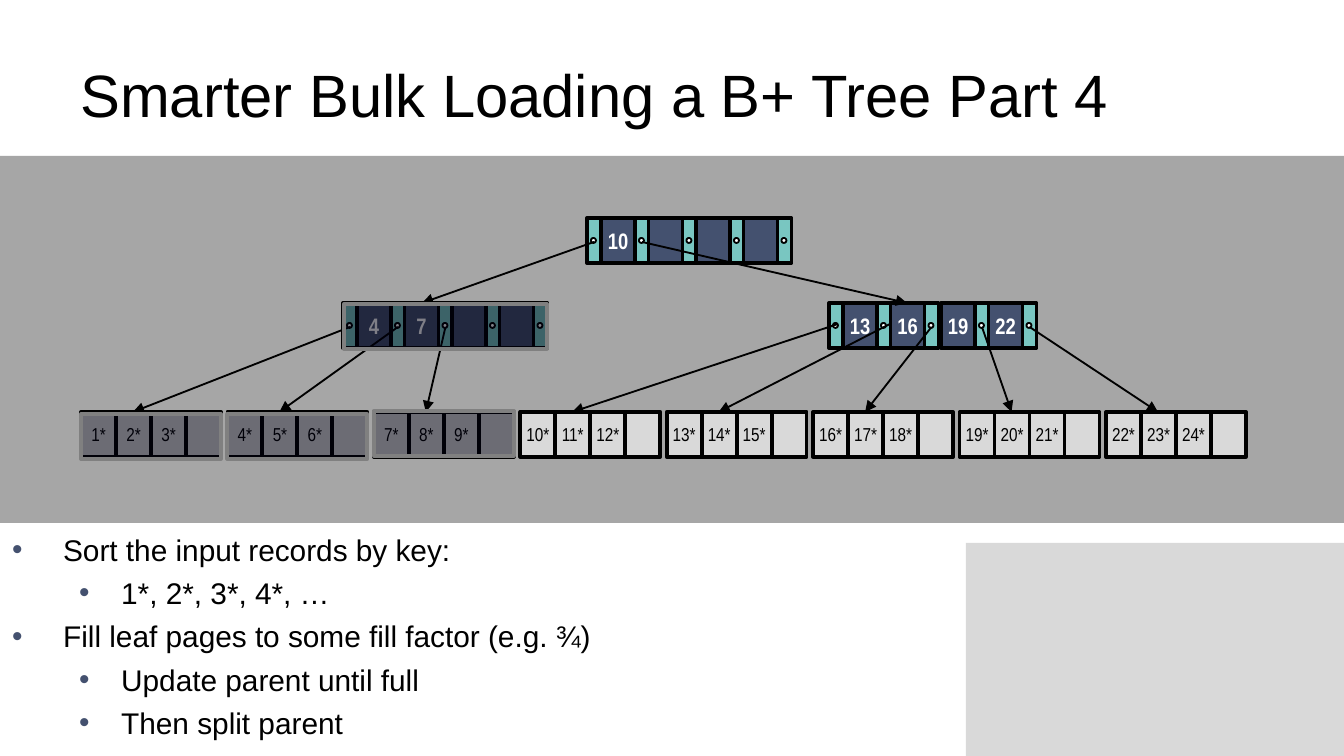
from dataclasses import dataclass

from lxml import etree
from pptx import Presentation
from pptx.dml.color import RGBColor
from pptx.enum.shapes import MSO_CONNECTOR, MSO_SHAPE
from pptx.enum.text import MSO_ANCHOR, MSO_AUTO_SIZE, PP_ALIGN
from pptx.oxml.ns import qn
from pptx.util import Pt

RECT, OVAL = MSO_SHAPE.RECTANGLE, MSO_SHAPE.OVAL
STRAIGHT = MSO_CONNECTOR.STRAIGHT
MIDDLE, BOTTOM = MSO_ANCHOR.MIDDLE, MSO_ANCHOR.BOTTOM
LEFT, CENTER = PP_ALIGN.LEFT, PP_ALIGN.CENTER
NO_FIT = MSO_AUTO_SIZE.NONE


@dataclass(frozen=True)
class Theme:
    font: str = "Arial"
    narrow: str = "Arial Narrow"
    ink: str = "000000"
    white: str = "FFFFFF"
    band: str = "A6A6A6"
    pale: str = "D9D9D9"
    key: str = "44516F"
    pointer: str = "79C6C1"
    shade: str = "010111"
    shade_line: str = "808080"
    title_size: int = 32
    body_size: int = 16
    key_size: int = 12
    record_size: int = 10
    thick: int = 2
    thin: int = 1


THEME = Theme()

# Content
TITLE = "Smarter Bulk Loading a B+ Tree Part 4"
BULLETS = [
    (0, "Sort the input records by key:"),
    (1, "1*, 2*, 3*, 4*, …"),
    (0, "Fill leaf pages to some fill factor (e.g. ¾)"),
    (1, "Update parent until full"),
    (1, "Then split parent"),
]
ROOT_KEYS = ["10", "", "", ""]
LEFT_KEYS = ["4", "7", "", ""]
RIGHT_KEYS = ["13", "16"]
RIGHT_MORE_KEYS = ["19", "22"]
LEAVES = [
    ["1*", "2*", "3*", ""],
    ["4*", "5*", "6*", ""],
    ["7*", "8*", "9*", ""],
    ["10*", "11*", "12*", ""],
    ["13*", "14*", "15*", ""],
    ["16*", "17*", "18*", ""],
    ["19*", "20*", "21*", ""],
    ["22*", "23*", "24*", ""],
]

# Geometry in px
PX = 914400 / 134.4
SLIDE = (1344, 756)
ROOT_Y, INNER_Y, LEAF_Y = 218, 303, 412
ROOT_X, LEFT_X, RIGHT_X, RIGHT_MORE_X = 587, 343, 829, 941
NODE_H, KEY_W, POINTER_W, DOT = 45, 34, 14, 5
KEY_PITCH = 190 / 4
CELL_W = 35
LEAF_XS = [81 + i * 1025 / 7 for i in range(len(LEAVES))]
LEAF_TARGET = 52
INNER_TARGETS = [422, 907]
START_NUDGES = {3: (2, -3), 4: (6, -3)}
INDENTS = [(51, -51), (109, -42)]
# Left, top and width of the shades over finished nodes
SHADES = [(x, LEAF_Y + dy, 4 * CELL_W) for x, dy in zip(LEAF_XS, (2, 2, -1))]
SHADES.append((LEFT_X + 1, INNER_Y + 1, 203))


def emu(*lengths):
    return [round(length * PX) for length in lengths]


def rgb(color):
    return RGBColor.from_string(color)


def add_span(para, text, size, color, font, bold=False):
    span = para.add_run()
    span.text = text
    span.font.name, span.font.size, span.font.bold = font, Pt(size), bold
    span.font.color.rgb = rgb(color)


def add_shape(page, kind, at, fill, line=None, weight=THEME.thick):
    shape = page.shapes.add_shape(kind, *emu(*at))
    shape.shadow.inherit = False
    shape.fill.solid()
    shape.fill.fore_color.rgb = rgb(fill)
    if line:
        shape.line.color.rgb = rgb(line)
        shape.line.width = Pt(weight)
    else:
        shape.line.fill.background()
    return shape


def add_cell(page, at, fill, text, size, color, bold=False):
    frame = add_shape(page, RECT, at, fill, THEME.ink).text_frame
    if text:
        frame.margin_left = frame.margin_right = 0
        frame.vertical_anchor, frame.word_wrap = MIDDLE, False
        para = frame.paragraphs[0]
        para.alignment = CENTER
        add_span(para, text, size, color, THEME.narrow, bold)


def add_pointer(page, x, y):
    add_shape(page, RECT, (x, y, POINTER_W, NODE_H), THEME.pointer, THEME.ink)
    add_shape(page, OVAL, (x + 4, y + 20, DOT, DOT), THEME.white, THEME.ink, THEME.thin)
    return x + POINTER_W / 2, y + 24


def add_keys(page, x, y, keys):
    """Draw each key with the pointer on its right; return the arrow starts."""
    starts = []
    for i, key in enumerate(keys):
        left = x + i * KEY_PITCH
        add_cell(page, (left, y, KEY_W, NODE_H), THEME.key, key,
                 THEME.key_size, THEME.white, True)
        starts.append(add_pointer(page, left + KEY_W, y))
    return starts


def add_node(page, x, y, keys):
    return [add_pointer(page, x, y)] + add_keys(page, x + POINTER_W, y, keys)


def add_arrow(page, start, end):
    arrow = page.shapes.add_connector(STRAIGHT, *emu(*start, *end))
    arrow.line.color.rgb = rgb(THEME.ink)
    arrow.line.width = Pt(THEME.thin)
    etree.SubElement(arrow.line._get_or_add_ln(), qn("a:tailEnd"), type="triangle")
    etree.SubElement(arrow._element.spPr, qn("a:effectLst"))


def add_bullet(para, level):
    para.level = level
    para.space_before = Pt(4)
    properties = para._p.get_or_add_pPr()
    margin, indent = emu(*INDENTS[level])
    properties.set("marL", str(margin))
    properties.set("indent", str(indent))
    color = etree.SubElement(properties, qn("a:buClr"))
    etree.SubElement(color, qn("a:srgbClr"), val=THEME.key)
    etree.SubElement(properties, qn("a:buFont"), typeface=THEME.font)
    etree.SubElement(properties, qn("a:buChar"), char="•")


def main():
    deck = Presentation()
    deck.slide_width, deck.slide_height = emu(*SLIDE)
    page = deck.slides.add_slide(deck.slide_layouts[5])

    # Title
    title = page.shapes.title
    title.left, title.top, title.width, title.height = emu(67, 31, 1210, 126)
    frame = title.text_frame
    frame.auto_size, frame.vertical_anchor = NO_FIT, MIDDLE
    frame.paragraphs[0].alignment = LEFT
    add_span(frame.paragraphs[0], TITLE, THEME.title_size, THEME.ink, THEME.font)

    # Backgrounds
    add_shape(page, RECT, (966, 543, 378, 213), THEME.pale)
    add_shape(page, RECT, (0, 156, 1344, 367), THEME.band)

    # Tree nodes
    root = add_node(page, ROOT_X, ROOT_Y, ROOT_KEYS)
    left = add_node(page, LEFT_X, INNER_Y, LEFT_KEYS)
    right = add_node(page, RIGHT_X, INNER_Y, RIGHT_KEYS)
    right += add_keys(page, RIGHT_MORE_X, INNER_Y, RIGHT_MORE_KEYS)
    for x, records in zip(LEAF_XS, LEAVES):
        for i, record in enumerate(records):
            add_cell(page, (x + i * CELL_W, LEAF_Y, CELL_W, NODE_H), THEME.pale,
                     record, THEME.record_size, THEME.ink)

    # Arrows from pointers to children
    for start, x in zip(root, INNER_TARGETS):
        add_arrow(page, start, (x, INNER_Y))
    for i, (start, x) in enumerate(zip(left[:3] + right, LEAF_XS)):
        dx, dy = START_NUDGES.get(i, (0, 0))
        add_arrow(page, (start[0] + dx, start[1] + dy), (x + LEAF_TARGET, LEAF_Y))

    # Bullets
    frame = page.shapes.add_textbox(*emu(-1, 517, 1210, 230)).text_frame
    frame.word_wrap, frame.vertical_anchor = True, BOTTOM
    for i, (level, text) in enumerate(BULLETS):
        para = frame.add_paragraph() if i else frame.paragraphs[0]
        add_bullet(para, level)
        add_span(para, text, THEME.body_size, THEME.ink, THEME.font)

    # Half-transparent shades
    for x, y, width in SHADES:
        shade = add_shape(page, RECT, (x, y, width, NODE_H), THEME.shade, THEME.shade_line)
        color = shade._element.spPr.find(qn("a:solidFill"))[0]
        etree.SubElement(color, qn("a:alpha"), val="50000")

    deck.save("out.pptx")


if __name__ == "__main__":
    main()
